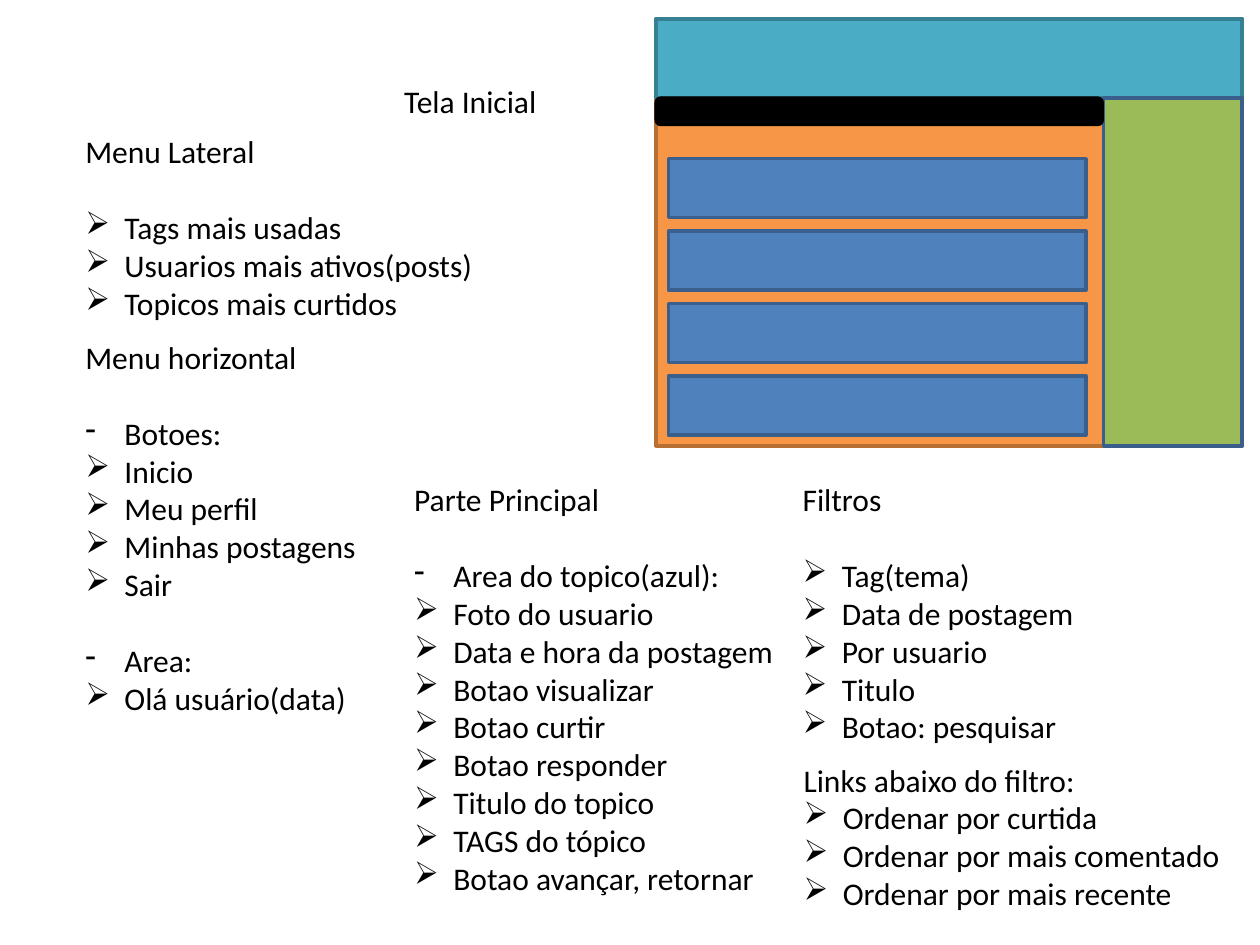
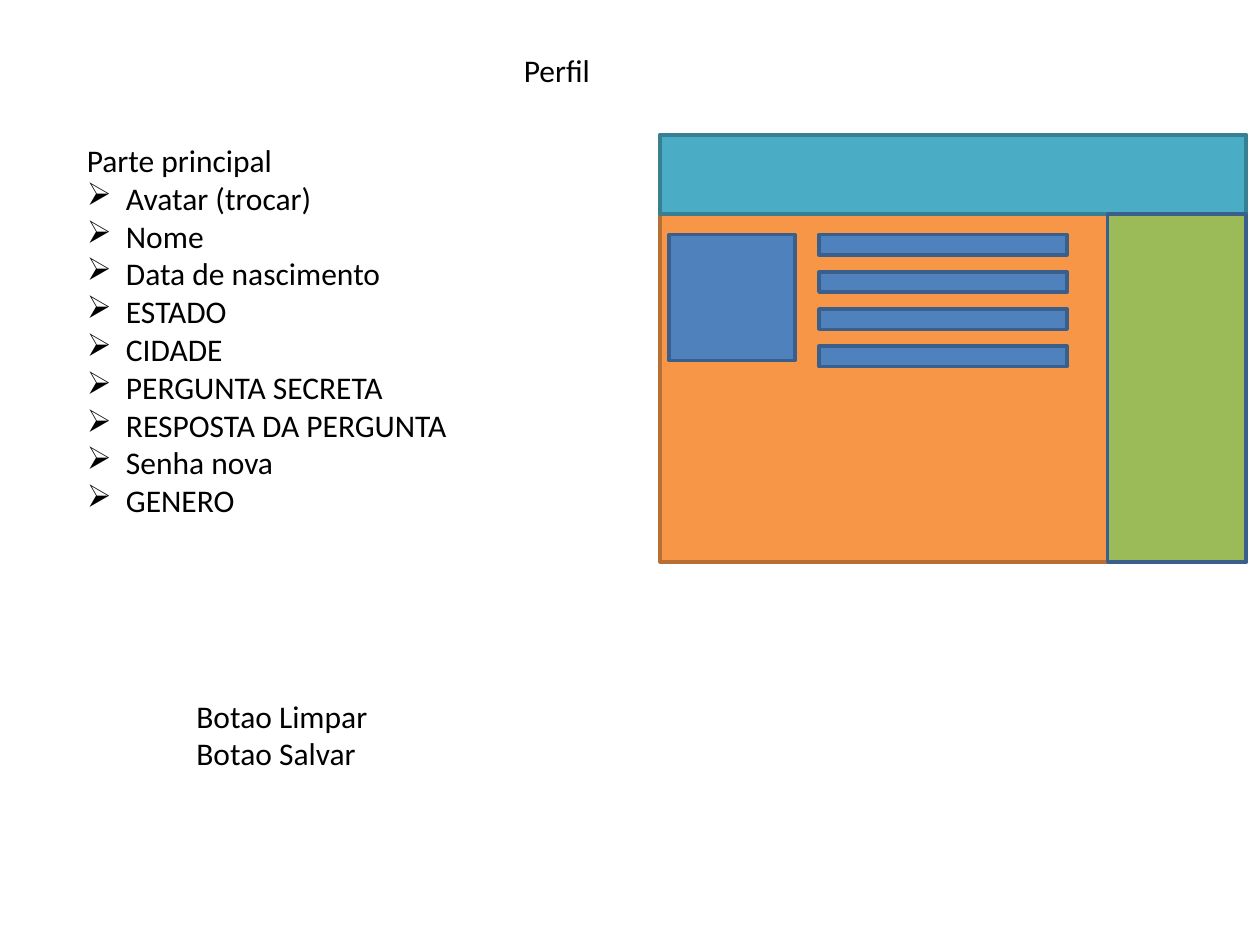
from pptx import Presentation
from pptx.dml.color import RGBColor
from pptx.enum.shapes import MSO_SHAPE
from pptx.enum.text import MSO_AUTO_SIZE
from pptx.oxml.ns import qn
from pptx.util import Cm, Pt
from lxml.etree import SubElement

FONT = "Calibri"
TEXT_SIZE = 18
BLANK_LINE = 22  # points, one line of text
INDENT = 0.79
ARROW, DASH = "\u27a2", "-"

BLACK = "000000"
ORANGE, ORANGE_LINE = "F79646", "B76F34"
TEAL, TEAL_LINE = "4BACC6", "377F92"
BLUE, BLUE_LINE = "4F81BD", "3A5F8C"
GREEN = "9BBB59"

SCREEN_WIDTH, SCREEN_HEIGHT = 11.81, 8.61
HEADER_HEIGHT = 1.6
SIDEBAR_WIDTH = 2.79


def color(value):
    """Turn a hex string into a colour."""
    return RGBColor.from_string(value)


def add_block(slide, left, top, width, height, fill, line, kind=MSO_SHAPE.RECTANGLE):
    """Draw one filled, outlined block of a screen sketch."""
    shape = slide.shapes.add_shape(kind, Cm(left), Cm(top), Cm(width), Cm(height))
    shape.shadow.inherit = False
    shape.fill.solid()
    shape.fill.fore_color.rgb = color(fill)
    shape.line.color.rgb = color(line)
    shape.line.width = Pt(2)


def add_text_frame(slide, left, top, width, height, wrap=False):
    """Add an empty text box and return its text frame."""
    frame = slide.shapes.add_textbox(Cm(left), Cm(top), Cm(width), Cm(height)).text_frame
    frame.word_wrap = wrap
    frame.auto_size = MSO_AUTO_SIZE.SHAPE_TO_FIT_TEXT
    return frame


def add_text(frame, text, bullet=None, space_before=0, size=TEXT_SIZE, fill=BLACK):
    """Write one paragraph, with an optional hanging bullet."""
    first = frame.paragraphs[0]
    paragraph = frame.add_paragraph() if first.runs else first
    paragraph.space_before = Pt(space_before)
    run = paragraph.add_run()
    run.text = text
    run.font.name = FONT
    run.font.size = Pt(size)
    run.font.color.rgb = color(fill)
    if bullet:
        properties = paragraph._p.get_or_add_pPr()
        properties.set("marL", str(Cm(INDENT)))
        properties.set("indent", str(-Cm(INDENT)))
        SubElement(properties, qn("a:buChar")).set("char", bullet)


def add_lines(slide, box, *lines, wrap=False):
    """Write plain lines in a box."""
    frame = add_text_frame(slide, *box, wrap=wrap)
    for line in lines:
        add_text(frame, line)


def add_list(slide, box, heading, *groups, gap=BLANK_LINE):
    """Write a heading and groups of (dashed label or None, arrow items)."""
    frame = add_text_frame(slide, *box)
    add_text(frame, heading)
    for label, items in groups:
        entries = [(label, DASH)] if label else []
        entries += [(item, ARROW) for item in items]
        for index, (text, bullet) in enumerate(entries):
            add_text(frame, text, bullet=bullet, space_before=0 if index else gap)


def add_screen(slide, left, top):
    """Sketch the page body, header and sidebar that all screens share."""
    add_block(slide, left, top, SCREEN_WIDTH, SCREEN_HEIGHT, ORANGE, ORANGE_LINE)
    add_block(slide, left, top, SCREEN_WIDTH, HEADER_HEIGHT, TEAL, TEAL_LINE)
    add_block(slide, left + SCREEN_WIDTH - SIDEBAR_WIDTH, top + HEADER_HEIGHT,
              SIDEBAR_WIDTH, SCREEN_HEIGHT - HEADER_HEIGHT, GREEN, BLUE_LINE)


def add_rows(slide, left, top, width, height, pitch, count=4):
    """Stack equal blue blocks at an even pitch."""
    for row in range(count):
        add_block(slide, left, top + row * pitch, width, height, BLUE, BLUE_LINE)


def add_home_screen(slide, left, top):
    """Sketch the home screen: menu bar and topic areas."""
    add_screen(slide, left, top)
    add_rows(slide, left + 0.25, top + 2.82, 8.41, 1.19, pitch=1.46)
    add_block(slide, left, top + HEADER_HEIGHT, 8.99, 0.53, BLACK, BLACK,
              MSO_SHAPE.ROUNDED_RECTANGLE)


def add_profile_screen(slide, left, top):
    """Sketch the profile screen: avatar and form fields."""
    add_screen(slide, left, top)
    add_block(slide, left + 0.18, top + 2.01, 2.54, 2.54, BLUE, BLUE_LINE)
    add_rows(slide, left + 3.2, top + 2.01, 5, 0.41, pitch=0.75)


def build_home(slide):
    """Build the slide on the home screen."""
    add_lines(slide, (7.9, 1.52, 12.19, 1.03), "Tela Inicial", wrap=True)
    add_list(slide, (1.47, 2.54, 8.38, 4.87), "Menu Lateral",
             (None, ["Tags mais usadas", "Usuarios mais ativos(posts)",
                     "Topicos mais curtidos"]))
    add_list(slide, (1.47, 6.68, 6.02, 7.95), "Menu horizontal",
             ("Botoes:", ["Inicio", "Meu perfil", "Minhas postagens", "Sair"]),
             ("Area:", ["Olá usuário(data)"]))
    add_list(slide, (8.1, 9.55, 7.82, 9.5), "Parte Principal",
             ("Area do topico(azul):",
              ["Foto do usuario", "Data e hora da postagem", "Botao visualizar",
               "Botao curtir", "Botao responder", "Titulo do topico",
               "TAGS do tópico", "Botao avançar, retornar"]))
    add_home_screen(slide, 13.23, 0.38)
    add_list(slide, (15.93, 9.55, 6.05, 6.4), "Filtros",
             (None, ["Tag(tema)", "Data de postagem", "Por usuario", "Titulo ",
                     "Botao: pesquisar"]))
    add_list(slide, (15.95, 15.21, 8.99, 3.33), "Links abaixo do filtro:",
             (None, ["Ordenar por curtida", "Ordenar por mais comentado",
                     "Ordenar por mais recente"]), gap=0)


def build_profile(slide):
    """Build the slide on the profile screen."""
    add_lines(slide, (10.31, 0.91, 1.85, 1.03), "Perfil")
    add_profile_screen(slide, 13.31, 2.72)
    add_list(slide, (1.5, 2.72, 7.82, 8.72), "Parte principal",
             (None, ["Avatar (trocar)", "Nome", "Data de nascimento", "ESTADO",
                     "CIDADE", "PERGUNTA SECRETA", "RESPOSTA DA PERGUNTA",
                     "Senha nova", "GENERO"]), gap=0)
    add_lines(slide, (3.71, 13.92, 3.99, 1.8), "Botao Limpar", "Botao Salvar")


presentation = Presentation()
presentation.slide_width, presentation.slide_height = Cm(25.4), Cm(19.05)
for build in (build_home, build_profile):
    build(presentation.slides.add_slide(presentation.slide_layouts[6]))
presentation.save("out.pptx")
